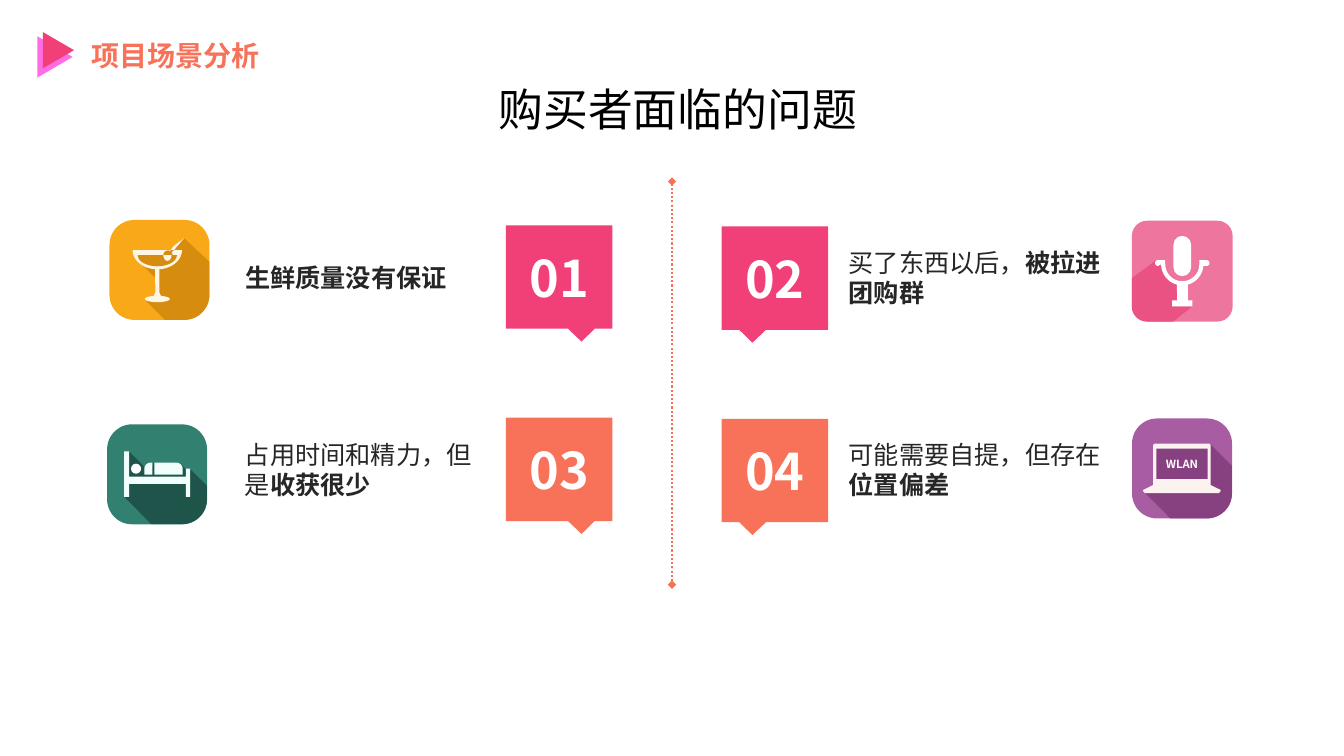
from math import cos, radians, sin

from lxml import etree
from pptx import Presentation
from pptx.dml.color import RGBColor
from pptx.enum import dml, shapes, text
from pptx.oxml.ns import qn
from pptx.util import Pt

FONT = "Noto Sans CJK SC"
CORAL = RGBColor(0xF7, 0x72, 0x58)
PINK = RGBColor(0xF0, 0x40, 0x77)
MAGENTA = RGBColor(0xFF, 0x6C, 0xE4)
BLACK = RGBColor(0, 0, 0)
DARK = RGBColor(0x26, 0x26, 0x26)
WHITE = RGBColor(0xFF, 0xFF, 0xFF)
AMBER, AMBER_SHADE = RGBColor(0xF9, 0xA8, 0x18), RGBColor(0xD6, 0x8D, 0x0F)
GREEN, GREEN_SHADE = RGBColor(0x32, 0x80, 0x70), RGBColor(0x1E, 0x54, 0x49)
ROSE, ROSE_SHADE = RGBColor(0xEE, 0x75, 0x9D), RGBColor(0xEA, 0x52, 0x84)
PURPLE, PURPLE_SHADE = RGBColor(0xA8, 0x5C, 0xA2), RGBColor(0x87, 0x41, 0x81)
CREAM = RGBColor(0xFF, 0xF5, 0xE5)
MINT = RGBColor(0xF0, 0xFF, 0xFC)
SHELL = RGBColor(0xFC, 0xF2, 0xEF)

PRESET = shapes.MSO_SHAPE
ALIGN = text.PP_ALIGN
ANCHOR = text.MSO_ANCHOR

presentation = Presentation()
presentation.slide_width, presentation.slide_height = Pt(960), Pt(540)
slide = presentation.slides.add_slide(presentation.slide_layouts[5])


def draw(outline, colour, left, top, width=0, height=0):
    """Add a preset shape, or a polygon of points measured from left, top."""
    if isinstance(outline, list):
        points = [(Pt(left + x), Pt(top + y)) for x, y in outline]
        builder = slide.shapes.build_freeform(*points[0])
        builder.add_line_segments(points[1:])
        shape = builder.convert_to_shape()
    else:
        shape = slide.shapes.add_shape(outline, Pt(left), Pt(top), Pt(width), Pt(height))
    shape.shadow.inherit = False
    shape.fill.solid()
    shape.fill.fore_color.rgb = colour
    shape.line.fill.background()
    return shape


def arc(x, y, radius_x, radius_y, start, end):
    """Points along an ellipse, in degrees clockwise from the right."""
    angles = [radians(start + (end - start) * step / 16) for step in range(17)]
    return [(x + radius_x * cos(angle), y + radius_y * sin(angle)) for angle in angles]


# Header mark
for colour, left, top, width, height in [
    (MAGENTA, 24.5, 28.1, 29.5, 25.2),
    (PINK, 28.8, 24.7, 25.9, 22.3),
]:
    draw(PRESET.ISOSCELES_TRIANGLE, colour, left, top, width, height).rotation = 90

# Dividing line
divider = slide.shapes.add_connector(shapes.MSO_CONNECTOR.STRAIGHT, Pt(480), Pt(417.6), Pt(480), Pt(129.6))
divider.line.color.rgb = CORAL
divider.line.width = Pt(1.5)
divider.line.dash_style = dml.MSO_LINE.ROUND_DOT
for end in ("a:headEnd", "a:tailEnd"):
    etree.SubElement(divider.line._get_or_add_ln(), qn(end), type="diamond")
etree.SubElement(divider._element.spPr, qn("a:effectLst"))

# Numbered callouts
callouts = []
for number, colour, left, top, tip in [
    ("01", PINK, 361.3, 161, 0.21),
    ("02", PINK, 515.4, 161.8, -0.21),
    ("03", CORAL, 361.3, 298.4, 0.21),
    ("04", CORAL, 515.4, 299.2, -0.21),
]:
    callout = draw(PRESET.RECTANGULAR_CALLOUT, colour, left, top, 76.2, 73.8)
    callout.adjustments[0] = tip
    callouts.append((callout, number))

# Icon tiles, each with its long shadow
corner = arc(53.4, 53.4, 18, 18, 0, 90)
cocktail, bed, microphone, laptop = (78.2, 157.1), (76.5, 303.1), (808.5, 157.7), (808.6, 298.9)
for origin, size, roundness, colour, shade, shadow in [
    (cocktail, 71.4, 0.25, AMBER, AMBER_SHADE,
     [(42.5, 23.8), (53.3, 13), (71.4, 29.9), *corner, (39.6, 71.4), (25.2, 56.9),
      (33.8, 56.9), (33.8, 42.5), (20.9, 29.5)]),
    (bed, 71.4, 0.25, GREEN, GREEN_SHADE,
     [(57.6, 33.8), (59, 31.7), (71.4, 43.9), *corner, (31.7, 71.4), (12.2, 51.8),
      (15.8, 19.4), (31, 34.6), (33.1, 27.4), (43.2, 32.4), (52.6, 28.1)]),
    (microphone, 72, 0.15, ROSE, ROSE_SHADE,
     [(28.8, 56.9), (32.4, 56.9), (32.4, 45.4), (25, 41), (20.9, 32.4), (16.6, 28.8), (0, 41),
      *arc(10.8, 61.2, 10.8, 10.8, 180, 90), (29.5, 72), (43.2, 61.2), (28.8, 61.2)]),
    (laptop, 71.4, 0.25, PURPLE, PURPLE_SHADE,
     [(51.8, 22.3), (56.2, 18.7), (71.4, 33.8), *corner, (27.4, 71.4), (9.4, 53.3)]),
]:
    draw(PRESET.ROUNDED_RECTANGLE, colour, *origin, size, size).adjustments[0] = roundness
    draw(shadow, shade, *origin)

# Icon drawings
glass = [*arc(34.2, 21.6, 17.6, 13.7, 0, 85), (35.6, 51.8), (36.7, 54),
         *arc(34.2, 56.5, 9, 2.3, -75, 255), (31.7, 54), (32.8, 51.8),
         *arc(34.2, 21.6, 17.6, 13.7, 95, 180)]
straw = [(53.3, 13), (46, 18.5), (41, 25), (40.3, 26.6), (44.5, 23.5)]
straw_shade = [(44, 21.6), (46, 21.6), (40.3, 26.6)]
bed_frame = [(12.2, 19.4), (15.8, 19.4), (15.8, 37.4), (56.2, 37.4), (56.2, 31.7), (59.4, 31.7),
             (59.4, 51.8), (56.2, 51.8), (56.2, 42.5), (15.8, 42.5), (15.8, 51.8), (12.2, 51.8)]
blanket = [(33.8, 36), (33.8, 27.4), *arc(49.5, 31.9, 4.5, 4.5, -90, 0), (54, 36)]
pillow = [*arc(31.1, 31.9, 4.5, 4.5, 180, 270), (32.4, 27.4), (32.4, 36), (26.6, 36)]
stand = [*arc(36, 31, 15.1, 15.1, 180, 105), (32.4, 56.9), (28.8, 56.9), (28.8, 61.2),
         (43.2, 61.2), (43.2, 56.9), (40, 56.9), *arc(36, 31, 15.1, 15.1, 75, 5),
         *arc(53.3, 30.2, 2.1, 2.1, 90, -90), (48.2, 28.1), *arc(36, 31, 12.2, 12.2, 0, 180),
         (23.8, 28.1), *arc(18.7, 30.2, 2.1, 2.1, 270, 90)]
computer = [(15.1, 19), (16.1, 18), (55.2, 18), (56.2, 19), (56.2, 47.5), (63.4, 51.1),
            (63.4, 52), (62, 53.3), (9.4, 53.3), (7.9, 52), (7.9, 51.1), (15.1, 47.5)]
for outline, colour, origin in [
    (glass, CREAM, cocktail),
    (arc(34.2, 25.2, 14, 7.9, 0, 180), AMBER_SHADE, cocktail),
    (straw, CREAM, cocktail),
    (straw_shade, AMBER_SHADE, cocktail),
    (arc(41.8, 25.6, 3.4, 3.8, 0, 360), AMBER_SHADE, cocktail),
    (arc(41.4, 25.2, 2.9, 4, 0, 180), CREAM, cocktail),
    (bed_frame, MINT, bed),
    (blanket, MINT, bed),
    (pillow, MINT, bed),
    (stand, WHITE, microphone),
    (computer, SHELL, laptop),
]:
    draw(outline, colour, *origin)
draw(PRESET.OVAL, WHITE, 93.6, 331.2, 7.2, 7.2)
draw(PRESET.ROUNDED_RECTANGLE, WHITE, 838.2, 168.5, 12.6, 28.8).adjustments[0] = 0.5
screen = draw(PRESET.RECTANGLE, PURPLE_SHADE, 825.9, 320.5, 36.7, 21.6)

# Text: shape, runs with bold flags, size, colour, alignment, anchor, margins
title = slide.shapes.title
title.left, title.top, title.width, title.height = Pt(295.2), Pt(54.7), Pt(378), Pt(46.1)
heading = slide.shapes.add_textbox(Pt(58.3), Pt(23.8), Pt(159.8), Pt(31.7))
labels = [
    (title, [("购买者面临的问题", False)], 32, BLACK, ALIGN.CENTER, ANCHOR.TOP, (7.2, 3.6)),
    (heading, [("项目场景分析", True)], 20, CORAL, ALIGN.LEFT, ANCHOR.TOP, (7.2, 3.6)),
    (screen, [("WLAN", True)], 8, WHITE, ALIGN.CENTER, ANCHOR.MIDDLE, (0, 0)),
]
for callout, number in callouts:
    labels.append((callout, [(number, True)], 36, WHITE, ALIGN.CENTER, ANCHOR.MIDDLE, (0, 0)))
for left, top, width, height, runs in [
    (175, 187.2, 181.4, 21.6, [("生鲜质量没有保证", True)]),
    (175, 313.2, 165.6, 43.9, [("占用时间和精力，但是", False), ("收获很少", True)]),
    (606.2, 176.4, 195.8, 43.9, [("买了东西以后，", False), ("被拉进团购群", True)]),
    (606.2, 313.2, 195.8, 43.9, [("可能需要自提，但存在", False), ("位置偏差", True)]),
]:
    box = slide.shapes.add_textbox(Pt(left), Pt(top), Pt(width), Pt(height))
    labels.append((box, runs, 18, DARK, ALIGN.LEFT, ANCHOR.MIDDLE, (0, 0)))

for shape, runs, size, colour, alignment, anchor, (side, edge) in labels:
    frame = shape.text_frame
    frame.word_wrap = True
    frame.auto_size = text.MSO_AUTO_SIZE.NONE
    frame.vertical_anchor = anchor
    frame.margin_left = frame.margin_right = Pt(side)
    frame.margin_top = frame.margin_bottom = Pt(edge)
    paragraph = frame.paragraphs[0]
    paragraph.alignment = alignment
    for words, bold in runs:
        run = paragraph.add_run()
        run.text = words
        run.font.size = Pt(size)
        run.font.bold = bold
        run.font.color.rgb = colour
        run.font.name = FONT
        etree.SubElement(run._r.get_or_add_rPr(), qn("a:ea"), typeface=FONT)

presentation.save("out.pptx")
